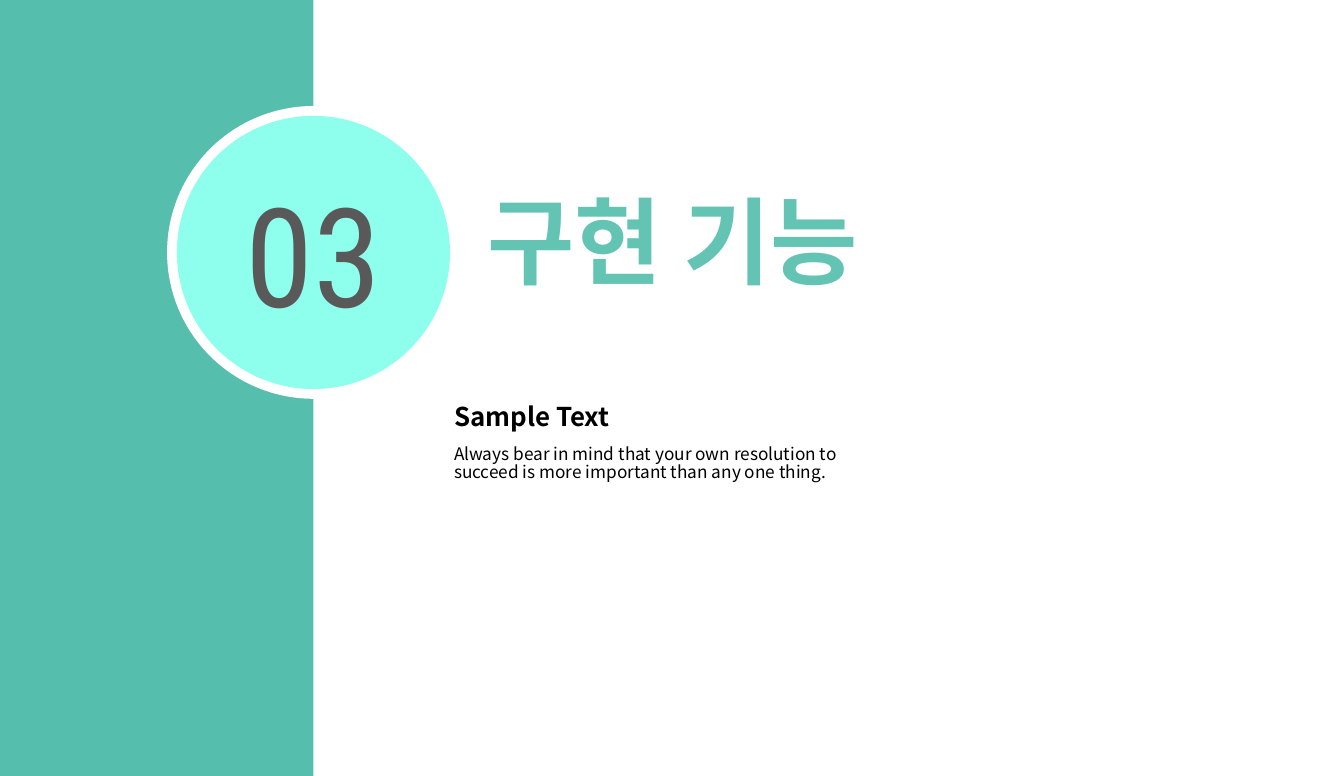
from lxml import etree
from pptx import Presentation
from pptx.dml.color import RGBColor
from pptx.enum.shapes import MSO_SHAPE
from pptx.enum.text import MSO_ANCHOR, MSO_AUTO_SIZE, PP_ALIGN
from pptx.oxml.ns import qn
from pptx.util import Inches, Pt

RECTANGLE, OVAL = MSO_SHAPE.RECTANGLE, MSO_SHAPE.OVAL
TOP, MIDDLE = MSO_ANCHOR.TOP, MSO_ANCHOR.MIDDLE
LEFT, CENTER = PP_ALIGN.LEFT, PP_ALIGN.CENTER
NO_RESIZE, GROW = MSO_AUTO_SIZE.NONE, MSO_AUTO_SIZE.SHAPE_TO_FIT_TEXT

SLIDE_WIDTH, SLIDE_HEIGHT = 12.99, 7.5
BAND_WIDTH = 3.03
BADGE_CENTER_Y = 2.44
KOREAN_FONT = "Noto Sans CJK KR"

NUMBER = {"size": Pt(96), "name": "Roboto Condensed", "bold": False}
TITLE = {"size": Pt(66), "name": "Arial", "bold": True}
HEADING = {"size": Pt(18), "name": KOREAN_FONT, "bold": True}
BODY = {"size": Pt(12), "name": KOREAN_FONT, "bold": False}


def color(hex_string):
    return RGBColor.from_string(hex_string)


def set_attributes(target, values):
    for name, value in values.items():
        setattr(target, name, value)


def write_text(shape, text, font, hex_color, frame, paragraph_format):
    set_attributes(shape.text_frame, {"word_wrap": True, **frame})
    paragraph = shape.text_frame.paragraphs[0]
    set_attributes(paragraph, paragraph_format)
    run = paragraph.add_run()
    run.text = text
    set_attributes(run.font, font)
    run.font.color.rgb = color(hex_color)
    for properties in shape.element.iter(qn("a:rPr")):
        etree.SubElement(properties, qn("a:ea"), typeface=KOREAN_FONT)


def add_filled_shape(slide, kind, box, hex_color):
    shape = slide.shapes.add_shape(kind, *map(Inches, box))
    shape.shadow.inherit = False
    shape.fill.solid()
    shape.fill.fore_color.rgb = color(hex_color)
    shape.line.fill.background()
    return shape


def add_backdrop(slide, box):
    slide.background.fill.solid()
    slide.background.fill.fore_color.rgb = color("56BEAD")
    add_filled_shape(slide, RECTANGLE, box, "FFFFFF")


def add_badge(slide, center_x, center_y, number):
    for diameter, hex_color in ((2.83, "FFFFFF"), (2.64, "8DFFEC")):
        box = (center_x - diameter / 2, center_y - diameter / 2, diameter, diameter)
        circle = add_filled_shape(slide, OVAL, box, hex_color)
    write_text(circle, number, NUMBER, "595959",
               {"vertical_anchor": MIDDLE}, {"alignment": CENTER})


def place_title(slide, box, text):
    title = slide.shapes.title
    set_attributes(title, dict(zip(("left", "top", "width", "height"), map(Inches, box))))
    write_text(title, text, TITLE, "64C4B4",
               {"vertical_anchor": TOP, "auto_size": NO_RESIZE},
               {"alignment": LEFT, "line_spacing": 0.9})
    title.element.getparent().append(title.element)


def add_description(slide, box, heading, body):
    left, top, width, height = box
    heading_height = 0.41
    rows = (
        (heading, HEADING, top, heading_height, 0.9),
        (body, BODY, top + heading_height, height - heading_height, 0.85),
    )
    for text, font, row_top, row_height, spacing in rows:
        text_box = slide.shapes.add_textbox(*map(Inches, (left, row_top, width, row_height)))
        write_text(text_box, text, font, "000000",
                   {"auto_size": GROW}, {"line_spacing": spacing})


def build_section_slide(presentation):
    slide = presentation.slides.add_slide(presentation.slide_layouts[5])
    add_backdrop(slide, (BAND_WIDTH, 0, SLIDE_WIDTH - BAND_WIDTH, SLIDE_HEIGHT))
    add_description(
        slide, (4.29, 3.86, 4.16, 0.91), "Sample Text",
        "Always bear in mind that your own resolution to succeed "
        "is more important than any one thing.",
    )
    add_badge(slide, BAND_WIDTH, BADGE_CENTER_Y, "03")
    place_title(slide, (4.61, 1.84, 7.01, 1.21), "구현 기능")


def main():
    presentation = Presentation()
    presentation.slide_width = Inches(SLIDE_WIDTH)
    presentation.slide_height = Inches(SLIDE_HEIGHT)
    build_section_slide(presentation)
    presentation.save("out.pptx")


if __name__ == "__main__":
    main()
